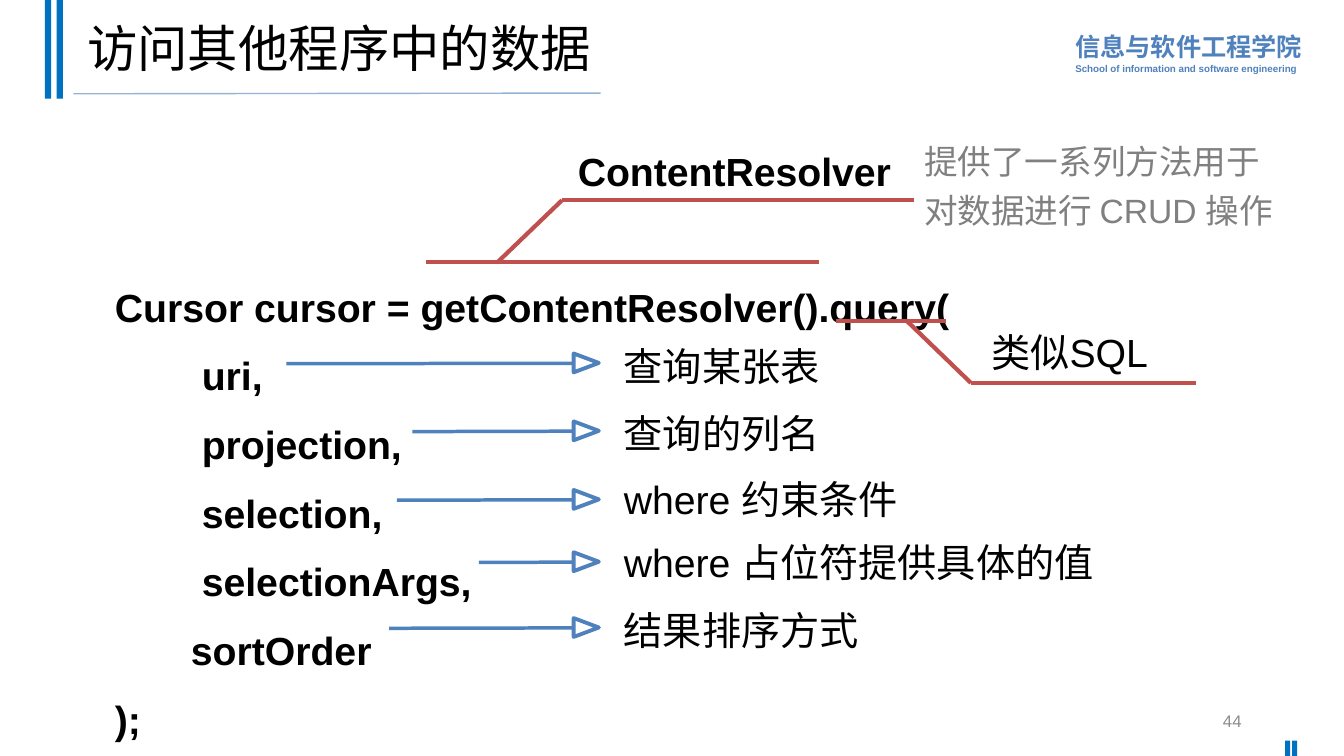
from lxml import etree
from pptx import Presentation
from pptx.dml.color import RGBColor
from pptx.enum import shapes, text
from pptx.oxml.ns import qn
from pptx.util import Pt

INK = {"black": "000000", "grey": "808080", "number": "8C8C8C",
       "bar": "0070C0", "rule": "95B3D7", "blue": "4F81BD", "red": "C0504D"}

CODE = ["Cursor cursor = getContentResolver().query(",
        "        uri,",
        "        projection,",
        "        selection,",
        "        selectionArgs,",
        "       sortOrder"]

# meaning, text top, text width, arrow start, arrow height
ROWS = [("查询某张表", 234, 450, 204.5, 259.5),
        ("查询的列名", 282, 282, 294.5, 308),
        ("where 约束条件", 329, 348, 283.5, 357),
        ("where 占位符提供具体的值", 374, 445, 342, 401.5),
        ("结果排序方式", 423, 343, 278, 448.5)]

CALLS = [[(304.5, 187.2), (585, 187.2)],
         [(355.5, 187.2), (401.5, 143), (653, 143)],
         [(597, 229.5), (675.5, 229.5)],
         [(648, 229.5), (693.5, 273.5), (854, 273.5)]]


def color(name):
    return RGBColor.from_string(INK[name])


def place(shape, left, top, width, height):
    shape.left, shape.top = Pt(left), Pt(top)
    shape.width, shape.height = Pt(width), Pt(height)


def write(para, words, size, ink="black", bold=False):
    run = para.add_run()
    run.text = words
    font = run.font
    font.name, font.size, font.bold = "Arial", Pt(size), bold
    font.color.rgb = color(ink)


def label(slide, box, words, size, ink="black", bold=False, space=1.2):
    """Add a wrapping text box and return its frame."""
    frame = slide.shapes.add_textbox(*map(Pt, box)).text_frame
    frame.word_wrap = True
    para = frame.paragraphs[0]
    para.line_spacing = space
    write(para, words, size, ink, bold)
    return frame


def holder(shape, box, words, size, space, anchor, bold=False):
    """Move a template placeholder and fill it with one unbulleted line."""
    place(shape, *box)
    frame = shape.text_frame
    frame.word_wrap = True
    frame.auto_size = text.MSO_AUTO_SIZE.NONE
    frame.vertical_anchor = anchor
    para = frame.paragraphs[0]
    props = para._p.get_or_add_pPr()
    props.set("marL", "0")
    props.set("indent", "0")
    etree.SubElement(props, qn("a:buNone"))
    para.alignment = text.PP_ALIGN.LEFT
    para.line_spacing = space
    para.space_before = Pt(0)
    write(para, words, size, bold=bold)


def bar(slide, *box):
    shape = slide.shapes.add_shape(shapes.MSO_SHAPE.RECTANGLE, *map(Pt, box))
    shape.shadow.inherit = False
    shape.fill.solid()
    shape.fill.fore_color.rgb = color("bar")
    shape.line.fill.background()


def line(slide, start, end, ink, width):
    link = slide.shapes.add_connector(shapes.MSO_CONNECTOR.STRAIGHT,
                                      *map(Pt, (*start, *end)))
    link.line.color.rgb = color(ink)
    link.line.width = Pt(width)
    etree.SubElement(link._element.spPr, qn("a:effectLst"))


def arrow(slide, left, mid):
    """Draw a line that ends in a hollow triangle pointing right."""
    line(slide, (left, mid + 0.3), (410.5, mid), "blue", 2.5)
    tip = slide.shapes.add_shape(shapes.MSO_SHAPE.ISOSCELES_TRIANGLE,
                                 Pt(412), Pt(mid - 9.25), Pt(13.5), Pt(18))
    tip.rotation = 90
    tip.shadow.inherit = False
    tip.fill.background()
    tip.line.color.rgb = color("blue")
    tip.line.width = Pt(2.75)


def frame_art(slide):
    """Draw the school name, the bars and the rule under the title."""
    school = label(slide, (761, 16.5, 176.5, 40), "信息与软件工程学院",
                   18, "blue", True, 1.1)
    para = school.add_paragraph()
    para.line_spacing = 1.1
    write(para, "School of information and software engineering", 7, "blue", True)
    for left in (32, 40.5):
        bar(slide, left, 0, 4.5, 70.5)
    for left in (918, 923):
        bar(slide, left, 529, 3.5, 11)
    line(slide, (52.5, 67), (429, 66.5), "rule", 1)


def code(slide):
    frame = label(slide, (75, 183, 763, 353), CODE[0], 28, bold=True, space=1.46)
    para = frame.paragraphs[0]
    for words in CODE[1:]:
        para.add_line_break()
        write(para, words, 28, bold=True)
    end = frame.add_paragraph()
    end.line_spacing = 1.28
    end.space_before = Pt(6)
    write(end, ");", 28, bold=True)


def main():
    deck = Presentation()
    deck.slide_width, deck.slide_height = Pt(960), Pt(540)
    slide = deck.slides.add_slide(deck.slide_layouts[1])
    title, body = slide.placeholders
    frame_art(slide)
    holder(title, (55, 5, 828, 63), "访问其他程序中的数据", 36, 0.9,
           text.MSO_ANCHOR.MIDDLE)
    holder(body, (405.5, 91.5, 247.5, 63), "ContentResolver", 28, 1.3,
           text.MSO_ANCHOR.TOP, True)
    code(slide)
    label(slide, (653, 91.5, 271.5, 74), "提供了一系列方法用于对数据进行 CRUD 操作",
          24, "grey")
    label(slide, (701, 224, 147, 48), "类似SQL", 28)
    for words, top, width, left, mid in ROWS:
        label(slide, (438.5, top, width, 48), words, 28)
        arrow(slide, left, mid)
    for points in CALLS:
        for start, end in zip(points, points[1:]):
            line(slide, start, end, "red", 3)
    number = label(slide, (678, 500.5, 216, 29), "44", 12, "number", space=1)
    number.vertical_anchor = text.MSO_ANCHOR.MIDDLE
    number.paragraphs[0].alignment = text.PP_ALIGN.RIGHT
    deck.save("out.pptx")


if __name__ == "__main__":
    main()
